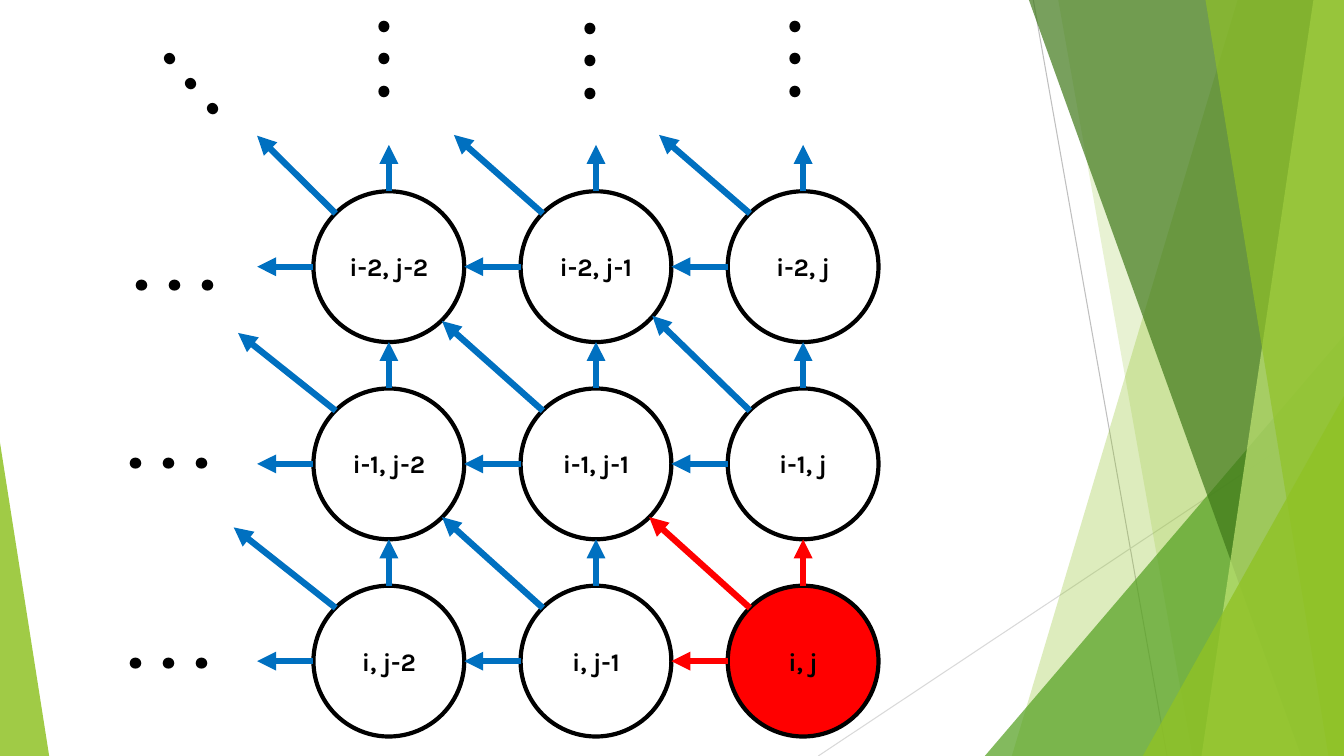
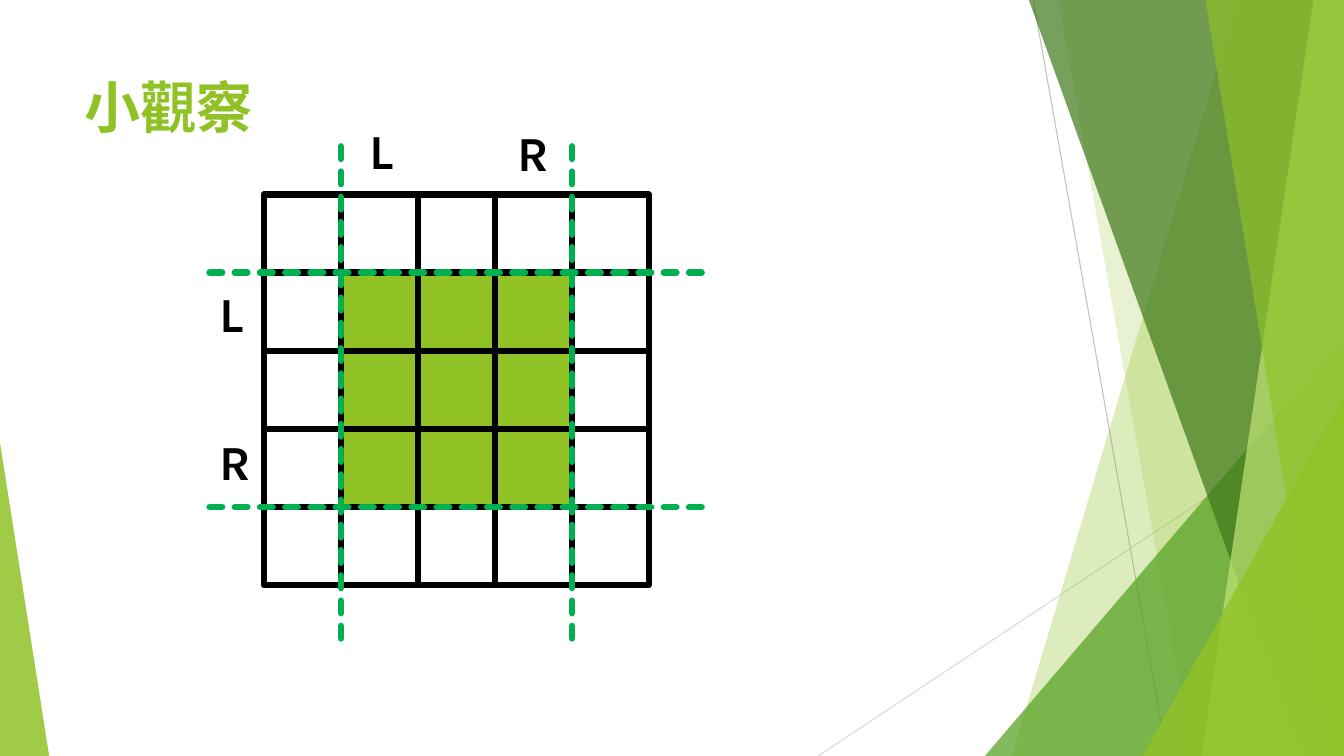
from dataclasses import dataclass
from itertools import product
from typing import Any, NamedTuple, Optional, Union

from pptx import Presentation
from pptx.dml.color import RGBColor
from pptx.enum.shapes import MSO_CONNECTOR, MSO_SHAPE
from pptx.enum.text import MSO_ANCHOR, MSO_AUTO_SIZE, PP_ALIGN
from pptx.oxml.ns import qn
from pptx.oxml.xmlchemy import OxmlElement
from pptx.shapes.autoshape import Shape
from pptx.shapes.shapetree import GroupShapes, SlideShapes
from pptx.slide import Slide, SlideLayout
from pptx.text.text import TextFrame
from pptx.util import Cm, Pt

ELLIPSE = MSO_SHAPE.OVAL
RECTANGLE = MSO_SHAPE.RECTANGLE
TRIANGLE = MSO_SHAPE.ISOSCELES_TRIANGLE
STRAIGHT = MSO_CONNECTOR.STRAIGHT
CENTER, LEFT = PP_ALIGN.CENTER, PP_ALIGN.LEFT
TOP, MIDDLE = MSO_ANCHOR.TOP, MSO_ANCHOR.MIDDLE
FIT_SHAPE, FIXED_SIZE = MSO_AUTO_SIZE.SHAPE_TO_FIT_TEXT, MSO_AUTO_SIZE.NONE

Shapes = Union[SlideShapes, GroupShapes]
Format = dict[str, Any]


@dataclass(frozen=True)
class Theme:
    font: str = "Karla"
    black: RGBColor = RGBColor(0x00, 0x00, 0x00)
    lime: RGBColor = RGBColor(0x90, 0xC2, 0x26)
    pale_lime: RGBColor = RGBColor(0xC0, 0xE4, 0x74)
    leaf: RGBColor = RGBColor(0x54, 0xA0, 0x21)
    forest: RGBColor = RGBColor(0x3F, 0x78, 0x19)
    gray: RGBColor = RGBColor(0xBF, 0xBF, 0xBF)
    light_gray: RGBColor = RGBColor(0xD9, 0xD9, 0xD9)
    blue: RGBColor = RGBColor(0x00, 0x70, 0xC0)
    red: RGBColor = RGBColor(0xFF, 0x00, 0x00)
    green: RGBColor = RGBColor(0x00, 0xB0, 0x50)
    node_size: Pt = Pt(18)
    letter_size: Pt = Pt(35)
    title_size: Pt = Pt(40)
    dots_size: Pt = Pt(50)
    hairline: Pt = Pt(0.75)
    outline: Pt = Pt(3)
    heavy: Pt = Pt(4.5)


THEME = Theme()
SLIDE_WIDTH, SLIDE_HEIGHT = 33.87, 19.05


class Point(NamedTuple):
    x: float
    y: float


class Box(NamedTuple):
    left: float
    top: float
    width: float
    height: float


class Band(NamedTuple):
    """A full-height band that runs to the right edge, with a slanted left side."""
    top_left: float
    bottom_left: float
    color: RGBColor
    opacity: int


class Wedge(NamedTuple):
    box: Box
    apex: float
    color: RGBColor
    opacity: int


class Stroke(NamedTuple):
    color: RGBColor
    width: Pt
    arrow: bool = False
    dashed: bool = False


class Dots(NamedTuple):
    left: float
    top: float
    rotation: float


class Letter(NamedTuple):
    text: str
    left: float
    top: float


BACKDROP_LINES = (
    (Point(26.04, 0), Point(29.41, SLIDE_HEIGHT), THEME.gray),
    (Point(SLIDE_WIDTH, 10.24), Point(20.62, SLIDE_HEIGHT), THEME.light_gray),
)
BACKDROP_PANELS = (
    Band(31.19, 25.5, THEME.lime, 30),
    Band(26.67, 30.05, THEME.lime, 20),
    Wedge(Box(24.82, 8.46, 9.05, 10.59), 1, THEME.leaf, 72),
    Band(25.93, 32.79, THEME.forest, 70),
    Band(33.1, 30.28, THEME.pale_lime, 70),
    Band(30.38, 33.48, THEME.lime, 65),
    Wedge(Box(28.8, 9.98, 5.07, 9.07), 1, THEME.lime, 80),
    Wedge(Box(0, 11.15, 1.24, 7.9), 0, THEME.lime, 85),
)

NODE_ORIGIN, NODE_PITCH = Point(7.9, 4.82), Point(5.22, 4.97)
NODE_DIAMETER, NODE_COUNT = 3.8, 3
UP_REACH, LEFT_REACH = 1.17, 1.42
DIAGONAL_INSET = 0.56
DIAGONAL_REACHES = (
    (Point(1.98, 1.96), Point(2.24, 1.98), Point(2.29, 1.98)),
    (Point(2.46, 1.96), Point(2.54, 2.26), Point(2.46, 2.39)),
    (Point(2.57, 2.03), Point(2.54, 2.29), Point(2.54, 2.29)),
)
DOTS = (
    Dots(3, 9.93, 0), Dots(3.15, 5.44, 0), Dots(3, 14.96, 0),
    Dots(8.89, 0.41, 90), Dots(14.07, 0.46, 90), Dots(19.25, 0.41, 90),
    Dots(3.96, 0.64, 50),
)

CELL_ORIGIN, CELL_PITCH, CELL_COUNT = Point(6.65, 4.9), Point(1.94, 1.97), 5
INNER_CELLS = range(1, 4)
GUIDE_INDEXES = (1, 4)
GUIDE_START, GUIDE_END = Point(5.28, 3.53), Point(17.88, 16.09)
LETTERS = (
    Letter("L", 5.28, 7.01), Letter("R", 5.28, 10.74),
    Letter("L", 9.07, 2.9), Letter("R", 12.8, 2.95),
)


def apply_format(target: Any, values: Format) -> None:
    for name, value in values.items():
        setattr(target, name, value)


def lengths(values: tuple[float, ...]) -> list[Cm]:
    return [Cm(value) for value in values]


def write_text(frame: TextFrame, text: str, size: Pt, color: RGBColor,
               frame_format: Format, alignment: PP_ALIGN = LEFT) -> None:
    apply_format(frame, frame_format)
    paragraph = frame.paragraphs[0]
    paragraph.alignment = alignment
    run = paragraph.add_run()
    run.text = text
    apply_format(run.font, {"name": THEME.font, "size": size, "bold": True})
    run.font.color.rgb = color


def add_text(shapes: Shapes, box: Box, text: str, size: Pt, color: RGBColor,
             frame_format: Format) -> Shape:
    shape = shapes.add_textbox(*lengths(box))
    write_text(shape.text_frame, text, size, color,
               {"vertical_anchor": TOP, **frame_format})
    return shape


def add_outlined(shapes: Shapes, kind: MSO_SHAPE, box: Box, width: Pt,
                 fill: Optional[RGBColor]) -> Shape:
    shape = shapes.add_shape(kind, *lengths(box))
    shape.shadow.inherit = False
    if fill is None:
        shape.fill.background()
    else:
        shape.fill.solid()
        shape.fill.fore_color.rgb = fill
    shape.line.width = width
    shape.line.color.rgb = THEME.black
    return shape


def append_element(parent: Any, tag: str, **attributes: str) -> None:
    element = OxmlElement(tag)
    for name, value in attributes.items():
        element.set(name, value)
    parent.append(element)


def add_line(shapes: Shapes, start: Point, end: Point, stroke: Stroke) -> None:
    connector = shapes.add_connector(STRAIGHT, *lengths(start + end))
    connector.line.width = stroke.width
    connector.line.color.rgb = stroke.color
    properties = connector.element.spPr
    line_element = properties.find(qn("a:ln"))
    if stroke.dashed:
        line_element.set("cap", "rnd")
        append_element(line_element, "a:prstDash", val="sysDash")
    if stroke.arrow:
        append_element(line_element, "a:tailEnd", type="triangle")
    append_element(properties, "a:effectLst")


def add_panel(shapes: Shapes, panel: Union[Band, Wedge]) -> None:
    if isinstance(panel, Band):
        builder = shapes.build_freeform(Cm(panel.top_left), 0)
        corners = (Point(SLIDE_WIDTH, 0), Point(SLIDE_WIDTH, SLIDE_HEIGHT),
                   Point(panel.bottom_left, SLIDE_HEIGHT))
        builder.add_line_segments([lengths(corner) for corner in corners], close=True)
        shape = builder.convert_to_shape()
    else:
        shape = shapes.add_shape(TRIANGLE, *lengths(panel.box))
        shape.adjustments[0] = panel.apex
    shape.shadow.inherit = False
    shape.line.fill.background()
    shape.fill.solid()
    shape.fill.fore_color.rgb = panel.color
    fill_color = shape.element.xpath("./p:spPr/a:solidFill/a:srgbClr")[0]
    append_element(fill_color, "a:alpha", val=str(panel.opacity * 1000))


def move_backdrop_to_layout(slide: Slide, layout: SlideLayout) -> None:
    """Draw the backdrop as a group and hand it to the layout, so all slides share it."""
    for placeholder in list(layout.placeholders):
        layout.shapes.element.remove(placeholder.element)
    group = slide.shapes.add_group_shape()
    for start, end, color in BACKDROP_LINES:
        add_line(group.shapes, start, end, Stroke(color, THEME.hairline))
    for panel in BACKDROP_PANELS:
        add_panel(group.shapes, panel)
    layout.shapes.element.append(group.element)


def index_label(letter: str, position: int) -> str:
    distance = NODE_COUNT - 1 - position
    return f"{letter}-{distance}" if distance else letter


def draw_dependency_slide(slide: Slide) -> None:
    shapes = slide.shapes
    last = NODE_COUNT - 1
    radius = NODE_DIAMETER / 2
    for row, column in product(range(NODE_COUNT), repeat=2):
        left = NODE_ORIGIN.x + column * NODE_PITCH.x
        top = NODE_ORIGIN.y + row * NODE_PITCH.y
        is_current = row == column == last
        node = add_outlined(shapes, ELLIPSE, Box(left, top, NODE_DIAMETER, NODE_DIAMETER),
                            THEME.outline, THEME.red if is_current else None)
        label = f"{index_label('i', row)}, {index_label('j', column)}"
        write_text(node.text_frame, label, THEME.node_size, THEME.black,
                   {"vertical_anchor": MIDDLE, "word_wrap": True}, CENTER)

        reach = DIAGONAL_REACHES[row][column]
        corner = Point(left + DIAGONAL_INSET, top + DIAGONAL_INSET)
        arrows = (
            (Point(left + radius, top), Point(left + radius, top - UP_REACH)),
            (Point(left, top + radius), Point(left - LEFT_REACH, top + radius)),
            (corner, Point(corner.x - reach.x, corner.y - reach.y)),
        )
        color = THEME.red if is_current else THEME.blue
        for start, end in arrows:
            add_line(shapes, start, end, Stroke(color, THEME.heavy, arrow=True))
    for dots in DOTS:
        shape = add_text(shapes, Box(dots.left, dots.top, 2.74, 2.39), ". . .",
                         THEME.dots_size, THEME.black,
                         {"word_wrap": False, "auto_size": FIT_SHAPE})
        shape.rotation = dots.rotation


def draw_observation_slide(slide: Slide) -> None:
    shapes = slide.shapes
    add_text(shapes, Box(1.88, 1.7, 23.88, 3.66), "小觀察", THEME.title_size, THEME.lime,
             {"word_wrap": True, "auto_size": FIXED_SIZE})
    for row, column in product(range(CELL_COUNT), repeat=2):
        is_inner = row in INNER_CELLS and column in INNER_CELLS
        box = Box(CELL_ORIGIN.x + column * CELL_PITCH.x,
                  CELL_ORIGIN.y + row * CELL_PITCH.y, *CELL_PITCH)
        add_outlined(shapes, RECTANGLE, box, THEME.heavy, THEME.lime if is_inner else None)
    guide = Stroke(THEME.green, THEME.heavy, dashed=True)
    for index in GUIDE_INDEXES:
        x = CELL_ORIGIN.x + index * CELL_PITCH.x
        y = CELL_ORIGIN.y + index * CELL_PITCH.y
        add_line(shapes, Point(GUIDE_START.x, y), Point(GUIDE_END.x, y), guide)
        add_line(shapes, Point(x, GUIDE_END.y), Point(x, GUIDE_START.y), guide)
    for letter in LETTERS:
        add_text(shapes, Box(letter.left, letter.top, 0.99, 1.75), letter.text,
                 THEME.letter_size, THEME.black,
                 {"word_wrap": True, "auto_size": FIT_SHAPE})


def main() -> None:
    presentation = Presentation()
    presentation.slide_width = Cm(SLIDE_WIDTH)
    presentation.slide_height = Cm(SLIDE_HEIGHT)
    layout = presentation.slide_layouts[6]
    dependency_slide = presentation.slides.add_slide(layout)
    move_backdrop_to_layout(dependency_slide, layout)
    draw_dependency_slide(dependency_slide)
    draw_observation_slide(presentation.slides.add_slide(layout))
    presentation.save("out.pptx")


if __name__ == "__main__":
    main()
